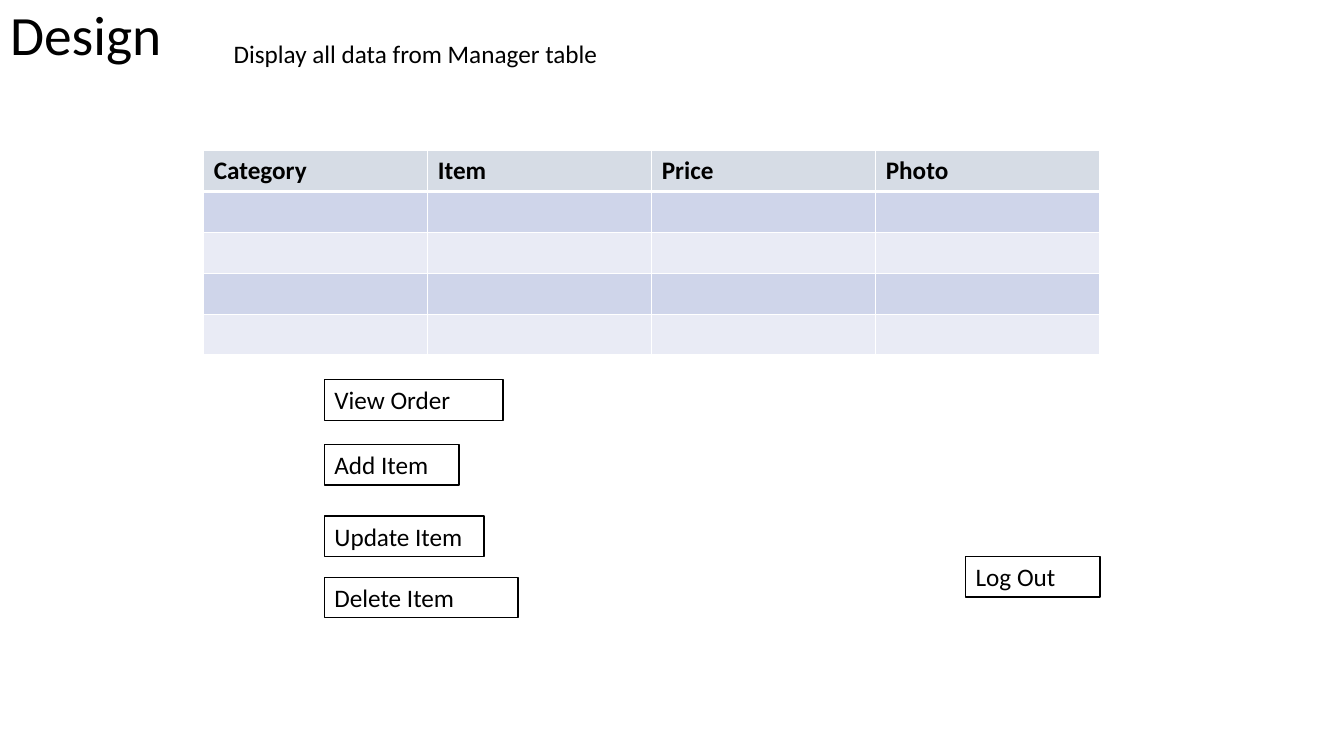
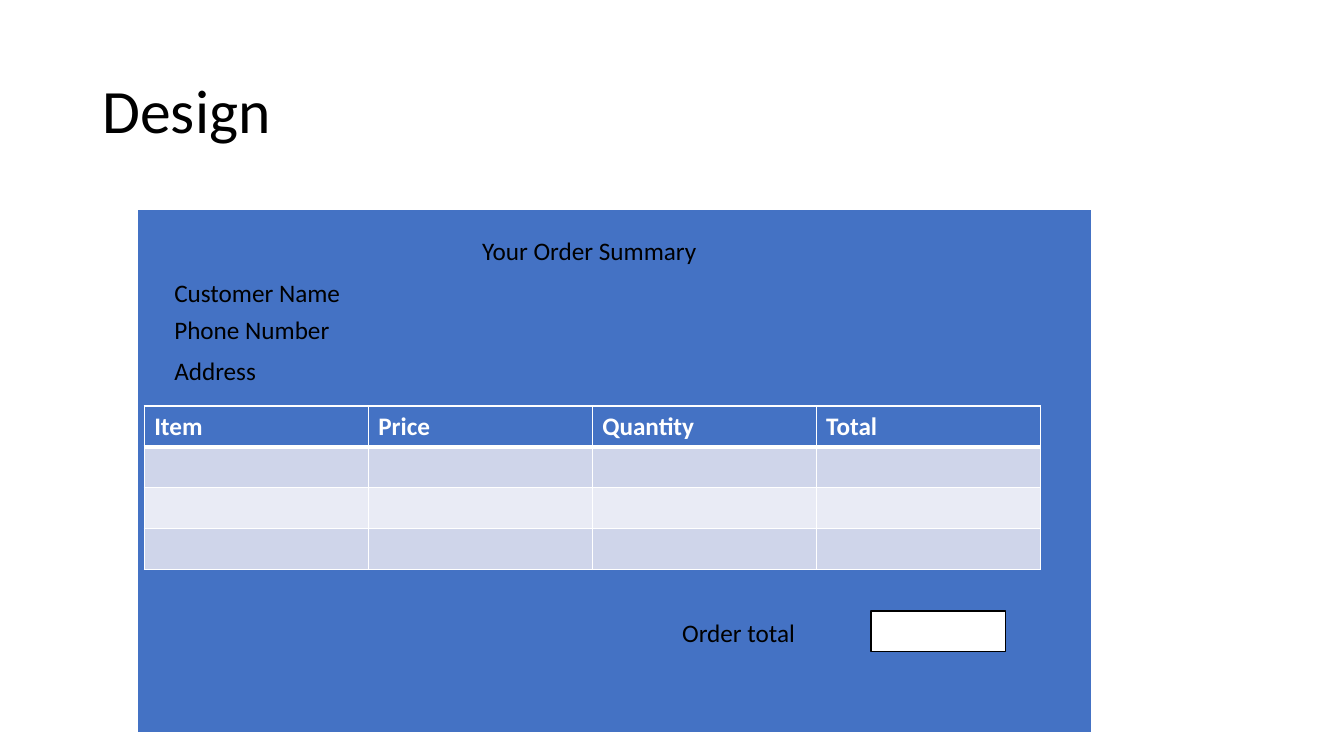
from lxml.etree import SubElement
from pptx import Presentation
from pptx.dml.color import RGBColor
from pptx.enum.text import MSO_ANCHOR as Anchor, MSO_AUTO_SIZE as AutoSize, PP_ALIGN as Align
from pptx.oxml.ns import qn
from pptx.util import Pt

COLORS = {
    "black": "000000", "white": "FFFFFF", "blue": "4472C4",
    "gray": "D6DCE5", "band_dark": "CFD5EA", "band_light": "E9EBF5",
}
RGB = {name: RGBColor.from_string(value) for name, value in COLORS.items()}
FONT, TEXT_SIZE = "Calibri", 18
BOX_HEIGHT, COLUMN_WIDTH, ROW_HEIGHT = 29, 160, 29.2
RULE, HEADER_RULE = 1, 3


def write(frame, text, size=TEXT_SIZE, color="black", bold=False):
    """Put one left-aligned run into a text frame and return its paragraph."""
    para = frame.paragraphs[0]
    para.alignment = Align.LEFT
    span = para.add_run()
    span.text = text
    looks = {"name": FONT, "size": Pt(size), "bold": bold}
    for name, value in looks.items():
        setattr(span.font, name, value)
    span.font.color.rgb = RGB[color]
    return para


def add_grid(page, left, top, width, height, fills, headers=()):
    """Add a table with one fill per row and white rules, thicker under the first row."""
    columns = max(len(headers), 1)
    table = page.shapes.add_table(
        len(fills), columns, Pt(left), Pt(top), Pt(width), Pt(height)).table
    table.first_row = table.horz_banding = False
    for row, fill in enumerate(fills):
        table.rows[row].height = Pt(height / len(fills))
        for column in range(columns):
            cell = table.cell(row, column)
            top_rule = HEADER_RULE if row == 1 else RULE
            bottom_rule = HEADER_RULE if row == 0 else RULE
            rules = {"lnL": RULE, "lnR": RULE, "lnT": top_rule, "lnB": bottom_rule}
            properties = cell._tc.get_or_add_tcPr()
            for side, weight in rules.items():
                line = SubElement(properties, qn(f"a:{side}"), w=str(Pt(weight)))
                solid = SubElement(line, qn("a:solidFill"))
                SubElement(solid, qn("a:srgbClr"), val=COLORS["white"])
            cell.fill.solid()
            cell.fill.fore_color.rgb = RGB[fill]
    header_color = "white" if fills[0] == "blue" else "black"
    for column, header in enumerate(headers):
        write(table.cell(0, column).text_frame, header, color=header_color, bold=True)


deck = Presentation()
deck.slide_width, deck.slide_height = Pt(960), Pt(540)
title_only = deck.slide_layouts[5]

# Each slide: title place and size, panel, table, then text boxes
# as (text, left, top, width, outlined).
slides = [
    {
        "title": (0, 0, 828, 53.3), "title_size": 39.6, "panel": None,
        "table_at": (145.6, 107.6),
        "headers": ("Category", "Item", "Price", "Photo"),
        "fills": ("gray", "band_dark", "band_light", "band_dark", "band_light"),
        "boxes": [
            ("View Order", 231.8, 271.2, 127.5, True),
            ("Add Item", 231.8, 317.5, 96, True),
            ("Update Item", 231.8, 368.6, 114, True),
            ("Delete Item", 231.8, 412.3, 138.2, True),
            ("Log Out", 689.8, 397.6, 96, True),
            ("Display all data from Manager table", 159.8, 24, 304, False),
        ],
    },
    {
        "title": (66, 28.8, 828, 104.4), "title_size": 44,
        "panel": (98.2, 149.3, 681.8, 375),
        "table_at": (103, 290),
        "headers": ("Item", "Price", "Quantity", "Total"),
        "fills": ("blue", "band_dark", "band_light", "band_dark"),
        "boxes": [
            ("Your Order Summary", 337.4, 164.5, 203.8, False),
            ("Customer Name", 117.4, 194.5, 160.6, False),
            ("Phone Number", 117.4, 221.1, 160.6, False),
            ("Address", 117.4, 250.2, 160.6, False),
            ("", 622.2, 436.5, 96, True),
            ("Order total", 480.2, 437.4, 160.6, False),
        ],
    },
]

for slide in slides:
    page = deck.slides.add_slide(title_only)
    title = page.shapes.title
    for side, value in zip(("left", "top", "width", "height"), slide["title"]):
        setattr(title, side, Pt(value))
    frame = title.text_frame
    frame.auto_size, frame.vertical_anchor = AutoSize.NONE, Anchor.MIDDLE
    write(frame, "Design", slide["title_size"]).line_spacing = 0.9

    if slide["panel"]:
        add_grid(page, *slide["panel"], ("blue",))
    add_grid(page, *slide["table_at"], COLUMN_WIDTH * len(slide["headers"]),
             ROW_HEIGHT * len(slide["fills"]), slide["fills"], slide["headers"])

    for text, left, top, width, outlined in slide["boxes"]:
        box = page.shapes.add_textbox(Pt(left), Pt(top), Pt(width), Pt(BOX_HEIGHT))
        box.text_frame.word_wrap = True
        if outlined:
            box.fill.solid()
            box.fill.fore_color.rgb = RGB["white"]
            box.line.color.rgb = RGB["black"]
            box.line.width = Pt(RULE)
        if text:
            write(box.text_frame, text)

deck.save("out.pptx")
